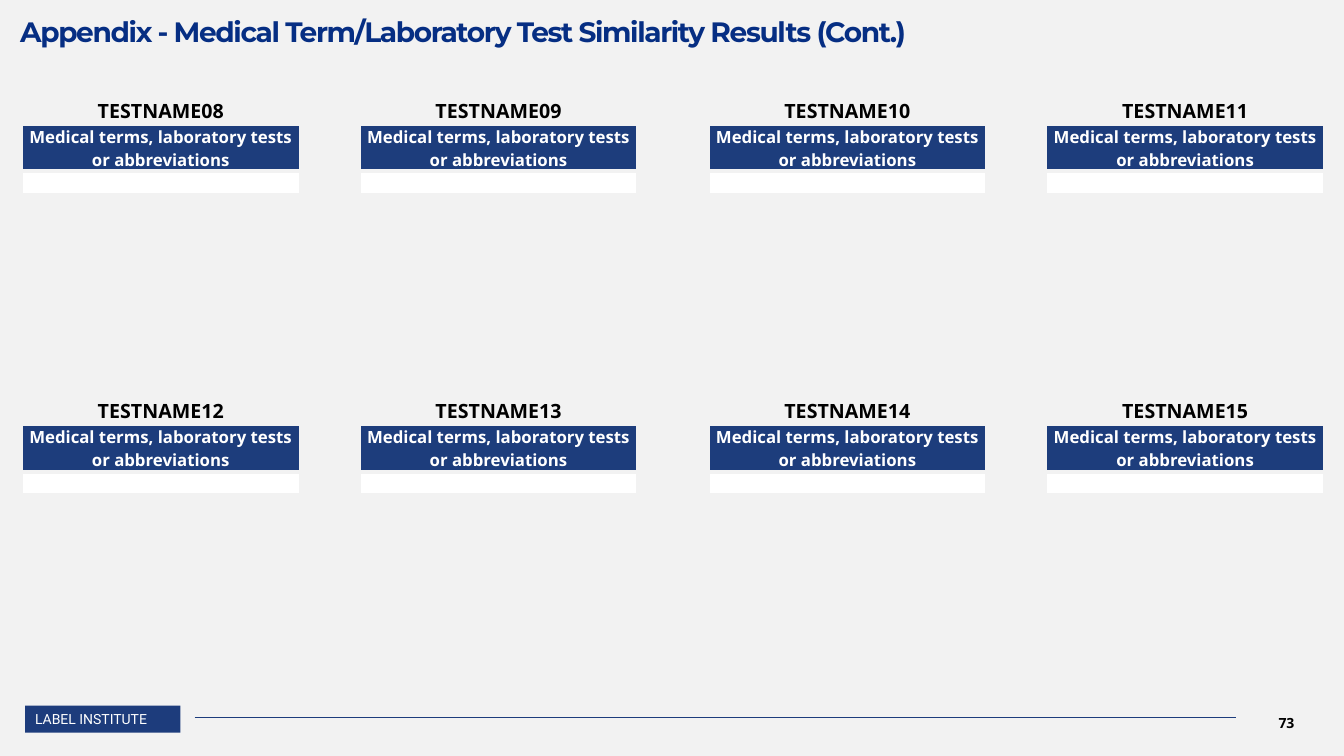
from lxml import etree
from pptx import Presentation
from pptx.dml.color import RGBColor
from pptx.enum.shapes import MSO_CONNECTOR, MSO_SHAPE
from pptx.enum.text import MSO_ANCHOR as Anchor, PP_ALIGN as Align
from pptx.oxml import parse_xml
from pptx.oxml.ns import nsdecls, qn
from pptx.util import Inches, Pt

BACKGROUND = RGBColor(0xF2, 0xF2, 0xF2)
TITLE_BLUE = RGBColor(0x06, 0x2E, 0x83)
FOOTER_BLUE = RGBColor(0x1D, 0x3C, 0x7C)
HEADER_BLUE = RGBColor(0x1D, 0x3D, 0x7C)
WHITE = RGBColor(0xFF, 0xFF, 0xFF)
BLACK = RGBColor(0, 0, 0)


def add_text(frame, text, font, size, color, bold=False, align=Align.LEFT):
    para = frame.paragraphs[0]
    para.alignment = align
    span = para.add_run()
    span.text = text
    span.font.name = font
    span.font.size = Pt(size)
    span.font.bold = bold
    span.font.color.rgb = color
    return span


def style_cell(cell, fill):
    cell.margin_left = cell.margin_right = cell.margin_top = Inches(0.01)
    cell.margin_bottom = 0
    cell.vertical_anchor = Anchor.MIDDLE
    properties = cell._tc.get_or_add_tcPr()
    for side in ("lnL", "lnR", "lnT", "lnB"):
        properties.append(parse_xml(
            f'<a:{side} {nsdecls("a")} w="{Pt(3)}"><a:solidFill>'
            f'<a:srgbClr val="{BACKGROUND}"/></a:solidFill></a:{side}>'))
    if fill is None:
        cell.fill.background()
    else:
        cell.fill.solid()
        cell.fill.fore_color.rgb = fill


deck = Presentation()
deck.slide_width = Inches(13.33)
deck.slide_height = Inches(7.5)
page = deck.slides.add_slide(deck.slide_layouts[6])
page.background.fill.solid()
page.background.fill.fore_color.rgb = BACKGROUND

# Footer: page number, label and rule
box = page.shapes.add_textbox(Inches(12.21), Inches(6.97), Inches(1.1), Inches(0.4))
box.text_frame.word_wrap = True
box.text_frame.vertical_anchor = Anchor.MIDDLE
add_text(box.text_frame, "73", "Open Sans", 10, BLACK, True, Align.CENTER)

label = page.shapes.add_shape(
    MSO_SHAPE.RECTANGLE, Inches(0.25), Inches(7), Inches(1.54), Inches(0.27))
label.shadow.inherit = False
label.fill.solid()
label.fill.fore_color.rgb = FOOTER_BLUE
label.line.fill.background()
label.text_frame.word_wrap = True
label.text_frame.vertical_anchor = Anchor.MIDDLE
add_text(label.text_frame, "LABEL INSTITUTE", "Roboto", 10, WHITE)

rule = page.shapes.add_connector(
    MSO_CONNECTOR.STRAIGHT, Inches(1.93), Inches(7.12), Inches(12.26), Inches(7.12))
rule.line.color.rgb = FOOTER_BLUE
rule.line.width = Pt(0.5)
etree.SubElement(rule._element.spPr, qn("a:effectLst"))

# Title
title = page.shapes.add_textbox(Inches(0.2), 0, Inches(12.82), Inches(0.48))
frame = title.text_frame
frame.word_wrap = True
frame.margin_left = frame.margin_right = frame.margin_bottom = 0
frame.margin_top = Inches(0.21)
span = add_text(
    frame, "Appendix - Medical Term/Laboratory Test Similarity Results (Cont.)",
    "Montserrat", 20, TITLE_BLUE, True)
span.font._element.set("spc", "-100")
frame.paragraphs[0].line_spacing = 0.8

# Grid of result tables, numbered row by row
number = 8
for top in (0.95, 3.93):
    for left in (0.21, 3.56, 7.02, 10.37):
        holder = page.shapes.add_table(
            3, 1, Inches(left), Inches(top), Inches(2.77), Inches(0.98))
        table = holder.table
        table.first_row = table.horz_banding = False
        for row, height in zip(table.rows, (0.28, 0.47, 0.23)):
            row.height = Inches(height)
        name, header, result = (row.cells[0] for row in table.rows)
        style_cell(name, None)
        style_cell(header, HEADER_BLUE)
        style_cell(result, WHITE)
        add_text(name.text_frame, f"TESTNAME{number:02}", "Open Sans", 14,
                 BLACK, True, Align.CENTER)
        add_text(header.text_frame, "Medical terms, laboratory tests or abbreviations",
                 "Open Sans", 12, WHITE, True, Align.CENTER)
        # Small type keeps the empty row low
        etree.SubElement(result.text_frame.paragraphs[0]._p,
                         qn("a:endParaRPr"), sz="800")
        number += 1

deck.save("out.pptx")
